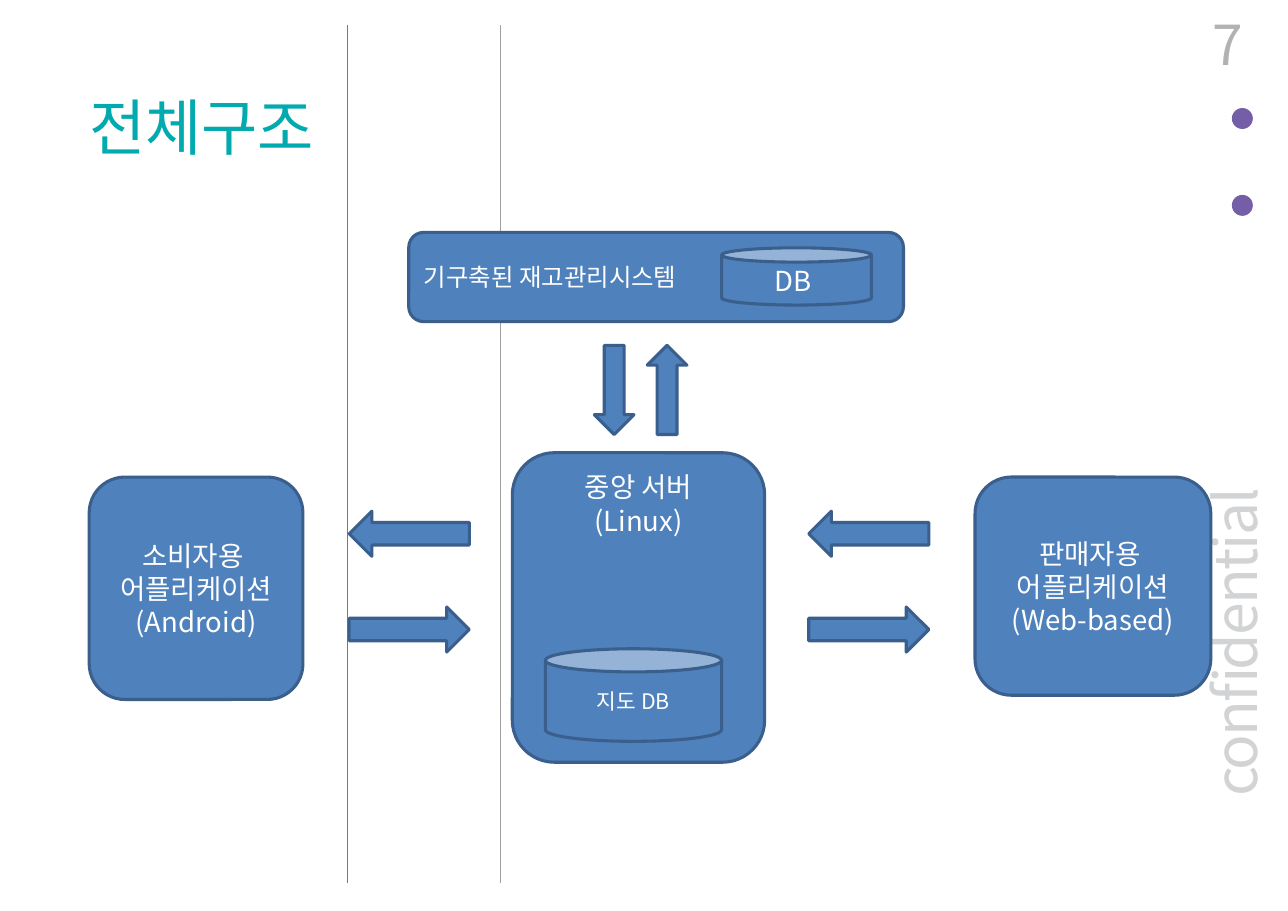
import pptx
import pptx.dml.color
import pptx.enum.shapes
import pptx.enum.text
import pptx.oxml.ns
import pptx.util
from lxml import etree

Pt = pptx.util.Pt
SHAPE = pptx.enum.shapes.MSO_SHAPE
ALIGN = pptx.enum.text.PP_ALIGN
ANCHOR = pptx.enum.text.MSO_ANCHOR
COLORS = {
    "teal": "00AAAE", "guide": "A0A0A0", "dot": "745EA8", "label": "D1D3D4",
    "number": "B2B2B2", "block": "4F81BD", "edge": "3A5F8C", "white": "FFFFFF",
}


def rgb(name):
    return pptx.dml.color.RGBColor.from_string(COLORS[name])


class Diagram:
    font = "Noto Sans CJK KR"

    def __init__(self, slide):
        self.slide = slide

    def fill_text(self, frame, lines, size, color="white", align=ALIGN.CENTER,
                  anchor=ANCHOR.MIDDLE, margins=(7.2, 3.6)):
        frame.word_wrap = True
        frame.auto_size = pptx.enum.text.MSO_AUTO_SIZE.NONE
        frame.vertical_anchor = anchor
        frame.margin_left = frame.margin_right = Pt(margins[0])
        frame.margin_top = frame.margin_bottom = Pt(margins[1])
        for index, line in enumerate(lines):
            paragraph = frame.add_paragraph() if index else frame.paragraphs[0]
            paragraph.text = line
            paragraph.alignment = align
            paragraph.font.size = Pt(size)
            paragraph.font.color.rgb = rgb(color)
            paragraph.font.name = self.font
            # Hangul takes the East Asian typeface
            defaults = paragraph._p.get_or_add_pPr().get_or_add_defRPr()
            etree.SubElement(defaults, pptx.oxml.ns.qn("a:ea"), typeface=self.font)

    def title(self, box, line, size, color):
        heading = self.slide.shapes.title
        heading.left, heading.top, heading.width, heading.height = map(Pt, box)
        self.fill_text(heading.text_frame, [line], size, color, ALIGN.LEFT, margins=(0, 0))

    def text(self, box, line, size, color, rotation=0, **layout):
        label = self.slide.shapes.add_textbox(*map(Pt, box))
        label.rotation = rotation
        self.fill_text(label.text_frame, [line], size, color, **layout)
        return label.text_frame.paragraphs[0]

    def guide(self, x, top, bottom, color):
        line = self.slide.shapes.add_connector(
            pptx.enum.shapes.MSO_CONNECTOR.STRAIGHT, Pt(x), Pt(top), Pt(x), Pt(bottom))
        line.line.color.rgb = rgb(color)
        line.line.width = Pt(0.25)
        etree.SubElement(line._element.spPr, pptx.oxml.ns.qn("a:effectLst"))

    def shape(self, kind, box, fill="block", edge="edge", rotation=0):
        part = self.slide.shapes.add_shape(kind, *map(Pt, box))
        part.shadow.inherit = False
        part.rotation = rotation
        part.fill.solid()
        part.fill.fore_color.rgb = rgb(fill)
        if edge:
            part.line.color.rgb = rgb(edge)
            part.line.width = Pt(2)
        else:
            part.line.fill.background()
        return part

    def block(self, kind, box, lines, size=18, **layout):
        self.fill_text(self.shape(kind, box).text_frame, lines, size, **layout)


def main():
    deck = pptx.Presentation()
    deck.slide_width, deck.slide_height = Pt(841.68), Pt(595.44)
    diagram = Diagram(deck.slides.add_slide(deck.slide_layouts[5]))

    # Guides and dots
    for x, color in ((226.8, "teal"), (326.9, "guide")):
        diagram.guide(x, 16.6, 577.4, color)
    for y in (70.6, 127.4):
        diagram.shape(SHAPE.OVAL, (805, y, 13.7, 13.7), "dot", None)

    # Title, side label and page number
    diagram.title((58.3, 62.6, 189.4, 40), "전체구조", 40, "teal")
    side_label = diagram.text((715.7, 389.5, 206.6, 56.2), "confidential", 38.5, "label",
                              270, align=ALIGN.LEFT, anchor=ANCHOR.TOP, margins=(0, 0))
    side_label.line_spacing = Pt(38.5)
    side_label.runs[0]._r.get_or_add_rPr().set("spc", "-120")
    diagram.text((603.4, 14.4, 216, 28.1), "7", 36, "number", align=ALIGN.RIGHT)

    # Central server and its map database
    diagram.block(SHAPE.ROUNDED_RECTANGLE, (334.8, 295.9, 164.9, 202.3),
                  ["중앙 서버", "(Linux)"], anchor=ANCHOR.TOP)
    diagram.block(SHAPE.CAN, (356.4, 424.1, 115.2, 60.5), ["지도 DB"], 14)

    # Inventory system and its database
    diagram.block(SHAPE.ROUNDED_RECTANGLE, (267.1, 151.9, 323.3, 58.3),
                  ["기구축된 재고관리시스템"], 16, align=ALIGN.LEFT)
    diagram.block(SHAPE.CAN, (471.6, 162, 97.9, 37.4), ["DB "])

    # Seller and consumer applications
    diagram.block(SHAPE.ROUNDED_RECTANGLE, (637.2, 311.8, 154.1, 142.6),
                  ["판매자용 \v어플리케이션\v(Web-based)"])
    diagram.block(SHAPE.ROUNDED_RECTANGLE, (58.3, 311.8, 139.7, 145.4),
                  ["소비자용 \v어플리케이션\v(Android)"])

    # Arrows between server and inventory system
    for x, rotation in ((372.2, 90), (406.8, 270)):
        diagram.shape(SHAPE.RIGHT_ARROW, (x, 241.9, 58.3, 25.9), rotation=rotation)

    # Arrows between server and applications
    for x in (228.2, 528.5):
        for y, rotation in ((396.7, 0), (334.1, 180)):
            diagram.shape(SHAPE.RIGHT_ARROW, (x, y, 78.5, 29.5), rotation=rotation)

    deck.save("out.pptx")


if __name__ == "__main__":
    main()
